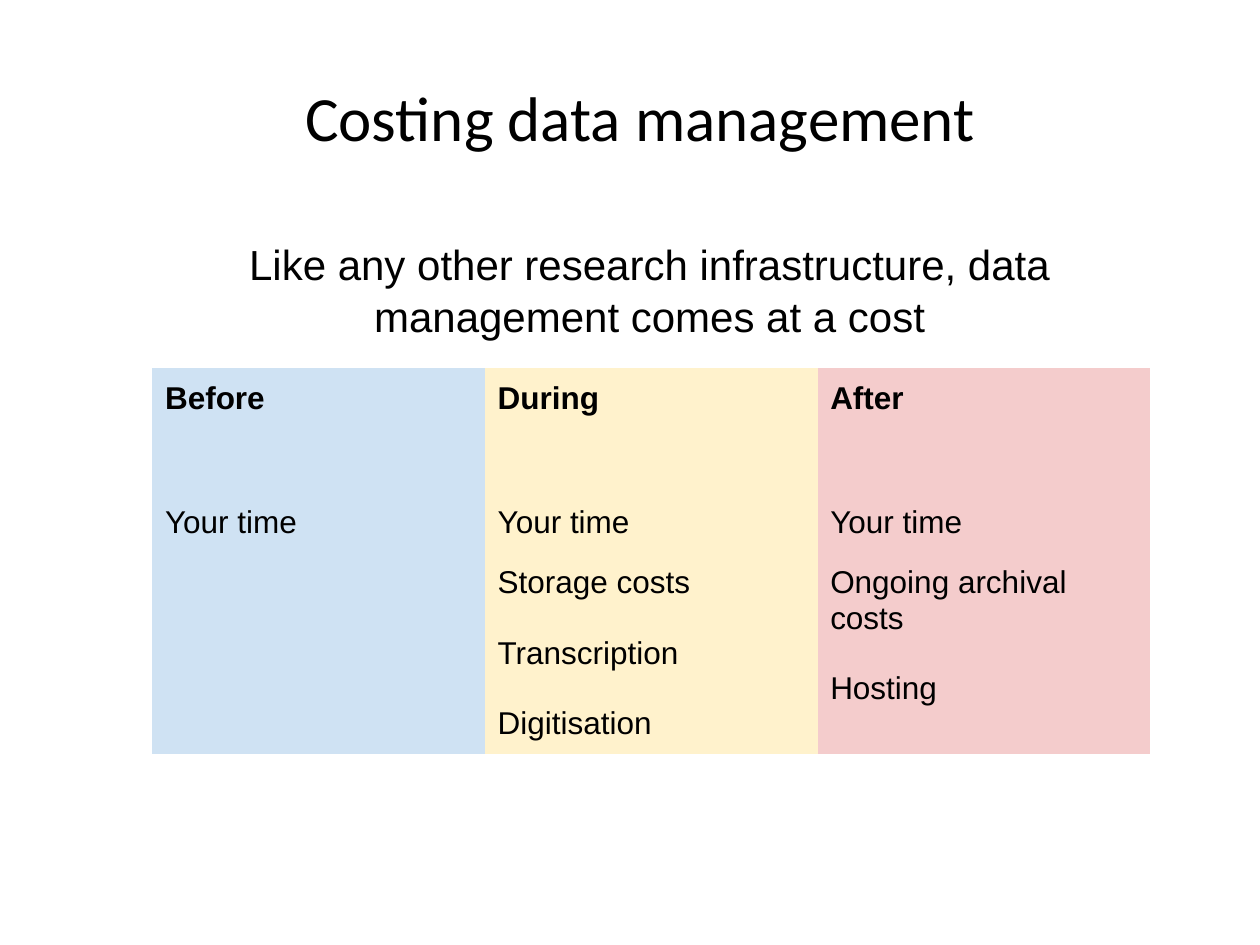
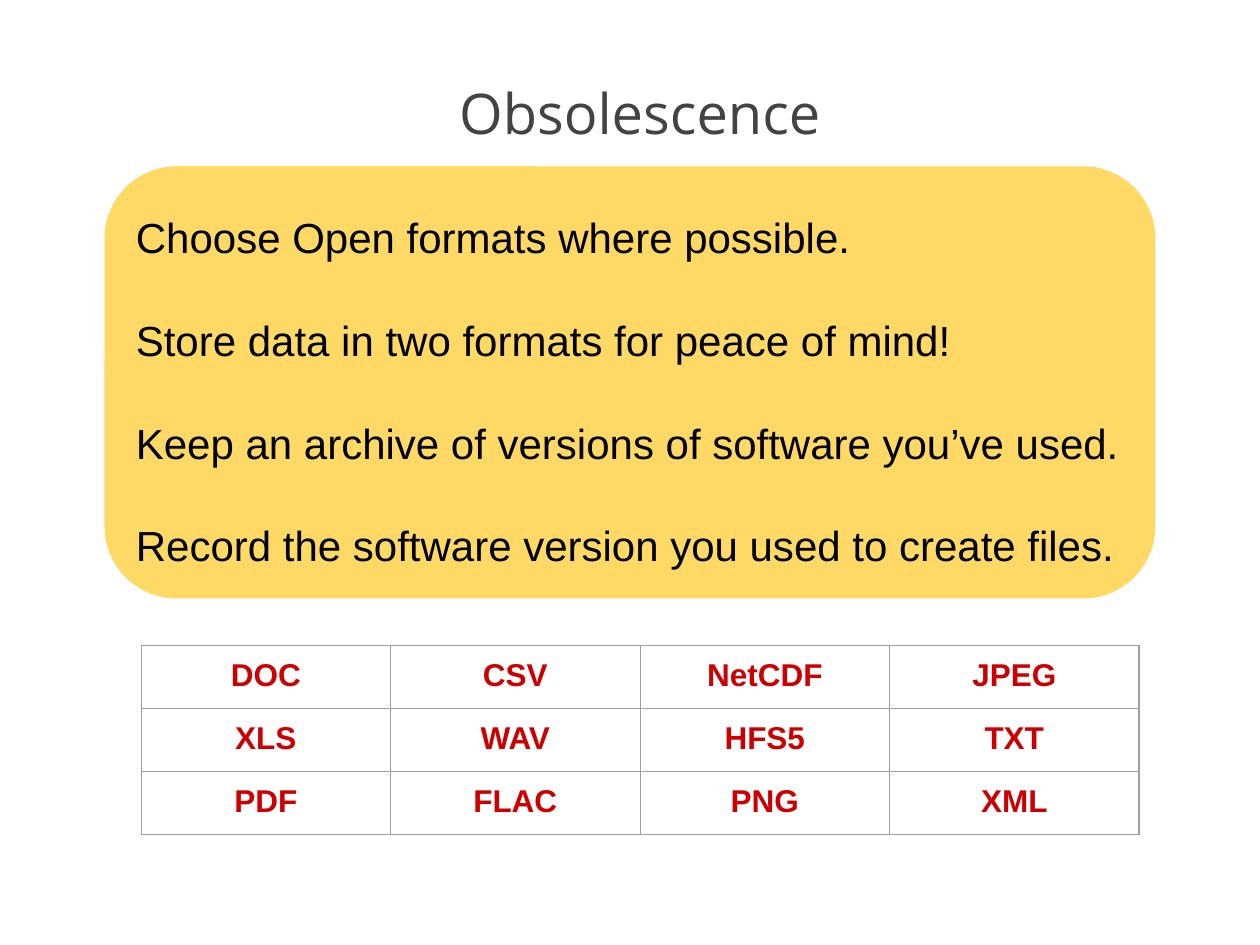
"""Build two slides on data management: its costs, and file format obsolescence."""
from lxml.etree import SubElement
from pptx import Presentation
from pptx.dml.color import RGBColor
from pptx.enum.shapes import MSO_SHAPE
from pptx.enum.text import MSO_ANCHOR, PP_ALIGN
from pptx.oxml.ns import qn
from pptx.util import Inches, Pt

COLOURS = {
    "black": "000000", "grey": "434343", "red": "CC0000", "rule": "9E9E9E",
    "before": "CFE2F3", "during": "FFF2CC", "after": "F4CCCC", "panel": "FFD966",
}

COSTING_TITLE = "Costing data management"
COSTING_INTRO = "Like any other research infrastructure, data management comes at a cost"
COST_PHASES = ["before", "during", "after"]
COST_ROWS = [
    [["Before"], ["During"], ["After"]],
    [[], [], []],
    [["Your time"], ["Your time"], ["Your time"]],
    [[], ["Storage costs", "Transcription", "Digitisation"],
     ["Ongoing archival costs", "Hosting"]],
]

OBSOLESCENCE_TITLE = "Obsolescence"
ADVICE = [
    "Choose Open formats where possible.",
    "Store data in two formats for peace of mind!",
    "Keep an archive of versions of software you’ve used.",
    "Record the software version you used to create files.",
]
FILE_FORMATS = [
    ["DOC", "CSV", "NetCDF", "JPEG"],
    ["XLS", "WAV", "HFS5", "TXT"],
    ["PDF", "FLAC", "PNG", "XML"],
]

TABLE_WIDTH = 7.92
ROW_HEIGHT = 0.48
LAST_COST_ROW = 1.6
INSET = 0.1


def rgb(name):
    return RGBColor.from_string(COLOURS[name])


def write(frame, lines, size, font="Arial", colour="black", bold=False,
          align=PP_ALIGN.LEFT, gap=0, spacing=None):
    for index, line in enumerate(lines):
        paragraph = frame.add_paragraph() if index else frame.paragraphs[0]
        paragraph.alignment = align
        if index:
            paragraph.space_before = Pt(gap)
        if spacing:
            paragraph.line_spacing = spacing
        run = paragraph.add_run()
        run.text = line
        run.font.size = Pt(size)
        run.font.name = font
        run.font.bold = bold
        run.font.color.rgb = rgb(colour)


def add_text(slide, place, lines, size, inset_y=INSET, anchor=MSO_ANCHOR.TOP, **style):
    frame = slide.shapes.add_textbox(*map(Inches, place)).text_frame
    frame.word_wrap = True
    frame.vertical_anchor = anchor
    frame.margin_left = frame.margin_right = Inches(INSET)
    frame.margin_top = frame.margin_bottom = Inches(inset_y)
    write(frame, lines, size, **style)


def add_title(slide, title, top, size, font, colour):
    add_text(slide, (0.58, top, 9, 0.86), [title], size, inset_y=0.05,
             anchor=MSO_ANCHOR.MIDDLE, font=font, colour=colour, align=PP_ALIGN.CENTER)


def set_borders(cell, colour):
    properties = cell._tc.get_or_add_tcPr()
    for side in ("lnL", "lnR", "lnT", "lnB"):
        line = SubElement(properties, qn(f"a:{side}"), w=str(Pt(0.75)))
        if colour:
            fill = SubElement(line, qn("a:solidFill"))
            SubElement(fill, qn("a:srgbClr"), val=COLOURS[colour])
        else:
            SubElement(line, qn("a:noFill"))


def add_grid(slide, left, top, heights, column_count, border=None):
    grid = slide.shapes.add_table(
        len(heights), column_count, Inches(left), Inches(top),
        Inches(TABLE_WIDTH), Inches(sum(heights))).table
    grid.first_row = grid.horz_banding = False
    for column in grid.columns:
        column.width = Inches(TABLE_WIDTH / column_count)
    for row, height in zip(grid.rows, heights):
        row.height = Inches(height)
    for cell in grid.iter_cells():
        cell.margin_left = cell.margin_right = Inches(INSET)
        cell.margin_top = cell.margin_bottom = Inches(INSET)
        set_borders(cell, border)
        cell.fill.background()
    return grid


def build_costing(slide):
    heights = [ROW_HEIGHT] * (len(COST_ROWS) - 1) + [LAST_COST_ROW]
    costs = add_grid(slide, 1.21, 2.92, heights, len(COST_PHASES))
    for r, entries in enumerate(COST_ROWS):
        for c, (phase, lines) in enumerate(zip(COST_PHASES, entries)):
            cell = costs.cell(r, c)
            cell.fill.solid()
            cell.fill.fore_color.rgb = rgb(phase)
            write(cell.text_frame, lines, 18, bold=r == 0, gap=20)
    add_text(slide, (1.22, 1.77, 7.87, 1.1), [COSTING_INTRO], 24,
             align=PP_ALIGN.CENTER, spacing=1.05)
    add_title(slide, COSTING_TITLE, 0.49, 36, "Calibri", "black")


def build_obsolescence(slide):
    add_title(slide, OBSOLESCENCE_TITLE, 0.46, 32, "Open Sans", "grey")
    panel = slide.shapes.add_shape(
        MSO_SHAPE.ROUNDED_RECTANGLE, *map(Inches, (0.83, 1.32, 8.34, 3.43)))
    panel.adjustments[0] = 0.167
    panel.shadow.inherit = False
    panel.fill.solid()
    panel.fill.fore_color.rgb = rgb("panel")
    panel.line.fill.background()
    add_text(slide, (0.98, 1.56, 8.21, 3.1), ADVICE, 24, gap=28.5, spacing=1.05)
    formats = add_grid(slide, 1.12, 5.12, [ROW_HEIGHT] * len(FILE_FORMATS),
                       len(FILE_FORMATS[0]), border="rule")
    for r, names in enumerate(FILE_FORMATS):
        for c, name in enumerate(names):
            write(formats.cell(r, c).text_frame, [name], 18, colour="red",
                  bold=True, align=PP_ALIGN.CENTER)


def main():
    deck = Presentation()
    deck.slide_width, deck.slide_height = Inches(10), Inches(7.5)
    for build in (build_costing, build_obsolescence):
        build(deck.slides.add_slide(deck.slide_layouts[6]))
    deck.save("out.pptx")


if __name__ == "__main__":
    main()
